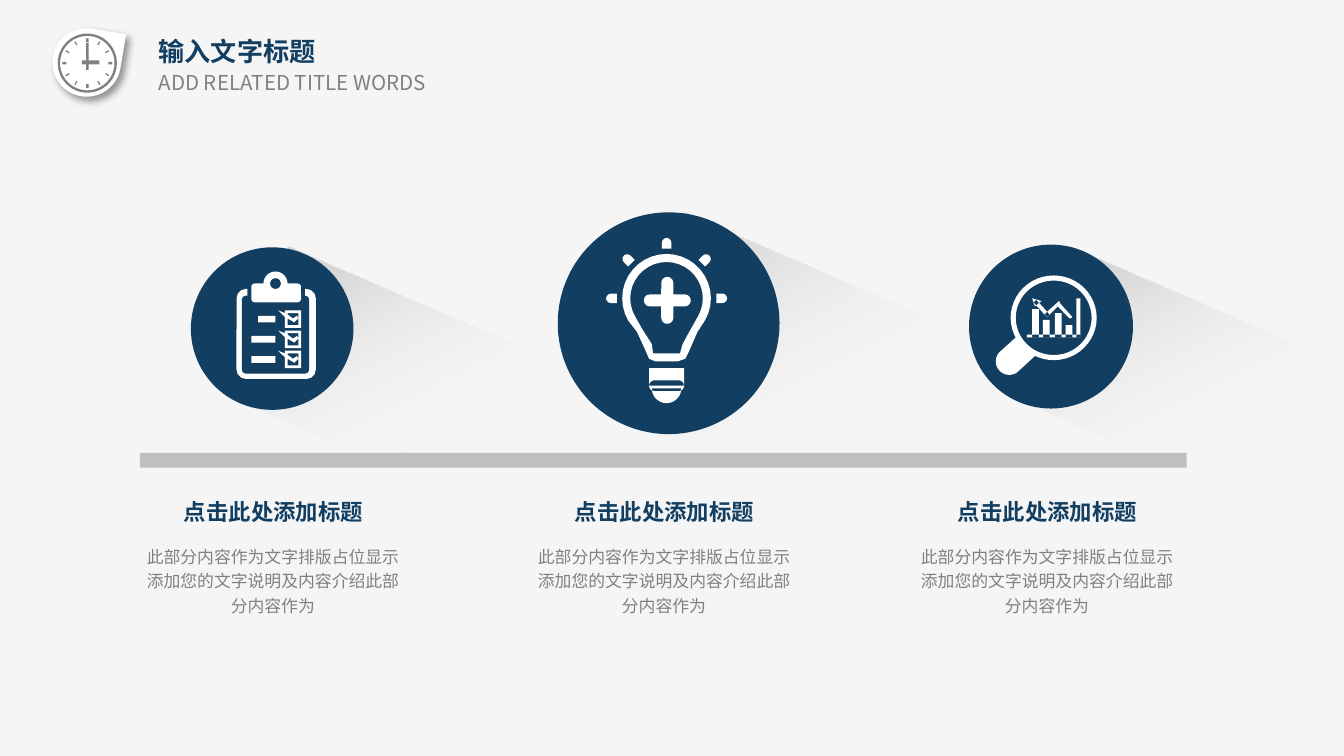
from dataclasses import dataclass
from math import cos, radians, sin

from lxml import etree
from pptx import Presentation
from pptx.dml.color import RGBColor
from pptx.enum.shapes import MSO_SHAPE
from pptx.enum.text import PP_ALIGN
from pptx.oxml import parse_xml
from pptx.oxml.ns import nsdecls, qn
from pptx.util import Inches, Pt

RECT = MSO_SHAPE.RECTANGLE
ROUND = MSO_SHAPE.ROUNDED_RECTANGLE
CAP = MSO_SHAPE.ROUND_2_SAME_RECTANGLE
OVAL = MSO_SHAPE.OVAL
RING = MSO_SHAPE.DONUT
DROP = MSO_SHAPE.TEAR
LEFT, CENTER, JUSTIFY = PP_ALIGN.LEFT, PP_ALIGN.CENTER, PP_ALIGN.JUSTIFY

FONT = "Noto Sans CJK SC"
NAVY, GRAY, SILVER, WHITE = "123E61", "808080", "BFBFBF", "FFFFFF"
FADE = [(0, "2889D6", 54), (0, SILVER, 100), (54, WHITE, 0)]
HEAD = "点击此处添加标题"
BODY = "此部分内容作为文字排版占位显示 添加您的文字说明及内容介绍此部分内容作为"

Point = tuple[float, float]


@dataclass
class Box:
    x: float
    y: float
    w: float
    h: float


@dataclass
class Column:
    disc: Box
    shade: Box
    text: float


COLUMNS = [
    Column(Box(1.42, 1.84, 1.21, 1.21), Box(1.76, 2.51, 3.64, 1.2), 0.9),
    Column(Box(4.15, 1.58, 1.65, 1.65), Box(4.63, 2.24, 3.64, 1.58), 3.81),
    Column(Box(7.21, 1.82, 1.22, 1.22), Box(7.58, 2.51, 3.64, 1.2), 6.66),
]

# Slide in 16:9
deck = Presentation()
deck.slide_width, deck.slide_height = Inches(10), Inches(10 * 9 / 16)
slide = deck.slides.add_slide(deck.slide_layouts[6])


def paint(fill, color: str) -> None:
    fill.solid()
    fill.fore_color.rgb = RGBColor.from_string(color)


def finish(shape, color: str):
    paint(shape.fill, color)
    shape.line.fill.background()
    shape.shadow.inherit = False
    return shape


def draw(kind, box: Box, color: str, turn: float = 0, adj: float | None = None):
    shape = slide.shapes.add_shape(
        kind, Inches(box.x), Inches(box.y), Inches(box.w), Inches(box.h))
    shape.rotation = turn
    if adj is not None:
        shape.adjustments[0] = adj
    return finish(shape, color)


def spoke(kind, mid: Point, reach: float, angle: float, w: float, h: float,
          color: str, adj: float | None = None) -> None:
    """Draw a mark that points away from a centre."""
    x = mid[0] + reach * cos(radians(angle))
    y = mid[1] + reach * sin(radians(angle))
    draw(kind, Box(x - w / 2, y - h / 2, w, h), color, angle + 90, adj)


def arc(x: float, y: float, r: float, start: int, end: int) -> list[Point]:
    return [(x + r * cos(radians(a)), y + r * sin(radians(a)))
            for a in range(start, end + 1, 10)]


def block(x: float, y: float, w: float, h: float) -> list[Point]:
    return [(x, y), (x + w, y), (x + w, y + h), (x, y + h)]


def trace(*loops: list[Point]) -> None:
    """Draw closed white outlines; where two overlap, a hole is left."""
    loops = [[(Inches(x), Inches(y)) for x, y in loop] for loop in loops]
    pen = slide.shapes.build_freeform(*loops[0][0], scale=1.0)
    for i, loop in enumerate(loops):
        if i:
            pen.move_to(*loop[0])
        pen.add_line_segments(loop[1:], close=True)
    finish(pen.convert_to_shape(), WHITE)


def fade(shape) -> None:
    stops = "".join(
        f'<a:gs pos="{pos * 1000}"><a:srgbClr val="{color}">'
        f'<a:alpha val="{alpha * 1000}"/></a:srgbClr></a:gs>'
        for pos, color, alpha in FADE)
    props = shape._element.spPr
    props.replace(props.find(qn("a:solidFill")), parse_xml(
        f'<a:gradFill {nsdecls("a")} rotWithShape="1"><a:gsLst>{stops}</a:gsLst>'
        f'<a:lin ang="{40 * 60000}" scaled="0"/></a:gradFill>'))


def lift(shape) -> None:
    effects = shape._element.spPr.find(qn("a:effectLst"))
    cast = etree.SubElement(
        effects, qn("a:outerShdw"), blurRad=str(Pt(4)), dist=str(Pt(3)),
        dir=str(45 * 60000), algn="tl", rotWithShape="0")
    tint = etree.SubElement(cast, qn("a:srgbClr"), val="000000")
    etree.SubElement(tint, qn("a:alpha"), val="40000")


def write(box: Box, text: str, size: int, color: str, align=CENTER,
          bold: bool = False, pads: Point = (0.1, 0.05), space: float = 1) -> None:
    frame = slide.shapes.add_textbox(
        Inches(box.x), Inches(box.y), Inches(box.w), Inches(box.h)).text_frame
    frame.word_wrap = True
    frame.margin_left = frame.margin_right = Inches(pads[0])
    frame.margin_top = frame.margin_bottom = Inches(pads[1])
    line = frame.paragraphs[0]
    line.text, line.alignment, line.line_spacing = text, align, space
    line.font.name, line.font.size, line.font.bold = FONT, Pt(size), bold
    line.font.color.rgb = RGBColor.from_string(color)
    for run in line.runs:
        etree.SubElement(run.font._element, qn("a:ea"), typeface=FONT)


def clock() -> None:
    lift(draw(DROP, Box(0.39, 0.21, 0.51, 0.51), WHITE, 9.5))
    draw(RING, Box(0.43, 0.25, 0.44, 0.44), GRAY, adj=0.04)
    for i in range(12):
        spoke(RECT, (0.65, 0.47), 0.17, i * 30, 0.01 if i % 3 else 0.02, 0.03, GRAY)
    draw(RECT, Box(0.64, 0.32, 0.02, 0.2), GRAY)
    draw(RECT, Box(0.61, 0.45, 0.13, 0.03), GRAY)


def board() -> None:
    draw(ROUND, Box(1.76, 2.15, 0.59, 0.67), WHITE, adj=0.12)
    draw(ROUND, Box(1.8, 2.2, 0.5, 0.58), NAVY, adj=0.06)
    draw(RECT, Box(1.84, 2.14, 0.43, 0.07), NAVY)
    draw(OVAL, Box(1.96, 2.02, 0.18, 0.18), WHITE)
    draw(ROUND, Box(1.87, 2.11, 0.37, 0.14), WHITE, adj=0.18)
    draw(OVAL, Box(2.01, 2.07, 0.08, 0.08), NAVY)
    for i, left in enumerate((1.92, 1.87, 1.87)):
        y = 2.31 + 0.15 * i
        draw(RECT, Box(left, y + 0.04, 2.05 - left, 0.05), WHITE)
        trace(block(2.12, y, 0.12, 0.13), block(2.14, y + 0.02, 0.08, 0.09),
              [(2.14, y + 0.03), (2.18, y + 0.06), (2.21, y + 0.04),
               (2.22, y + 0.06), (2.19, y + 0.09), (2.14, y + 0.06)],
              [(2.07, y), (2.12, y + 0.02), (2.12, y + 0.05)])


def bulb() -> None:
    x, y = 4.96, 2.22
    trace(arc(x, y, 0.33, 150, 390)
          + [(5.19, 2.47), (5.12, 2.63), (5.1, 2.67), (5.04, 2.69),
             (4.88, 2.69), (4.83, 2.67), (4.8, 2.6), (4.74, 2.47)],
          arc(x, y, 0.27, 150, 390)
          + [(5.14, 2.45), (5.08, 2.56), (5.06, 2.63),
             (4.86, 2.63), (4.85, 2.56), (4.78, 2.45)])
    trace(block(4.83, 2.74, 0.26, 0.13),
          arc(4.87, 2.87, 0.04, 90, 270) + arc(5.05, 2.87, 0.04, 270, 450),
          arc(x, 2.89, 0.11, 0, 180))
    draw(ROUND, Box(4.79, 2.19, 0.35, 0.09), WHITE, adj=0.5)
    draw(ROUND, Box(4.92, 2.06, 0.09, 0.35), WHITE, adj=0.5)
    for angle in range(-180, 1, 45):
        spoke(CAP, (x, y), 0.41, angle, 0.07, 0.08, WHITE, 0.5)


def lens() -> None:
    draw(RING, Box(7.52, 2.05, 0.64, 0.63), WHITE, adj=0.06)
    trace(arc(7.51, 2.69, 0.1, 45, 225) + [(7.56, 2.51), (7.7, 2.65)])
    tops = [(7.68, 2.3), (7.76, 2.38), (7.85, 2.33), (7.93, 2.42)]
    trace(*[block(x, y, 0.05, 2.51 - y) for x, y in tops],
          block(8.01, 2.22, 0.03, 0.29), block(7.64, 2.49, 0.4, 0.02),
          [(7.69, 2.25), (7.79, 2.36), (7.81, 2.34), (7.71, 2.23)],
          [(7.79, 2.36), (7.89, 2.26), (7.88, 2.24), (7.77, 2.34)],
          [(7.87, 2.28), (7.96, 2.37), (7.98, 2.36), (7.89, 2.26)],
          [(7.68, 2.22), (7.75, 2.24), (7.7, 2.28)])


# Background and header
paint(slide.background.fill, "F5F5F6")
write(Box(1.12, 0.23, 2.15, 0.29), "输入文字标题", 14, NAVY, LEFT, True, (0.06, 0.03))
write(Box(1.07, 0.47, 2.52, 0.29), "ADD RELATED TITLE WORDS", 11, GRAY, JUSTIFY,
      pads=(0.11, 0.05))
clock()

# Long shadows and base bar
for col in reversed(COLUMNS):
    fade(draw(RECT, col.shade, SILVER, 23.3))
draw(RECT, Box(1.04, 3.37, 7.79, 0.11), SILVER)

# Discs with icons, and their captions
for col, icon in zip(COLUMNS, (board, bulb, lens)):
    draw(OVAL, col.disc, NAVY)
    icon()
    write(Box(col.text, 3.66, 2.27, 0.3), HEAD, 12, NAVY, bold=True)
    write(Box(col.text + 0.06, 3.99, 2.14, 0.63), BODY, 9, GRAY, space=1.2)

deck.save("out.pptx")
